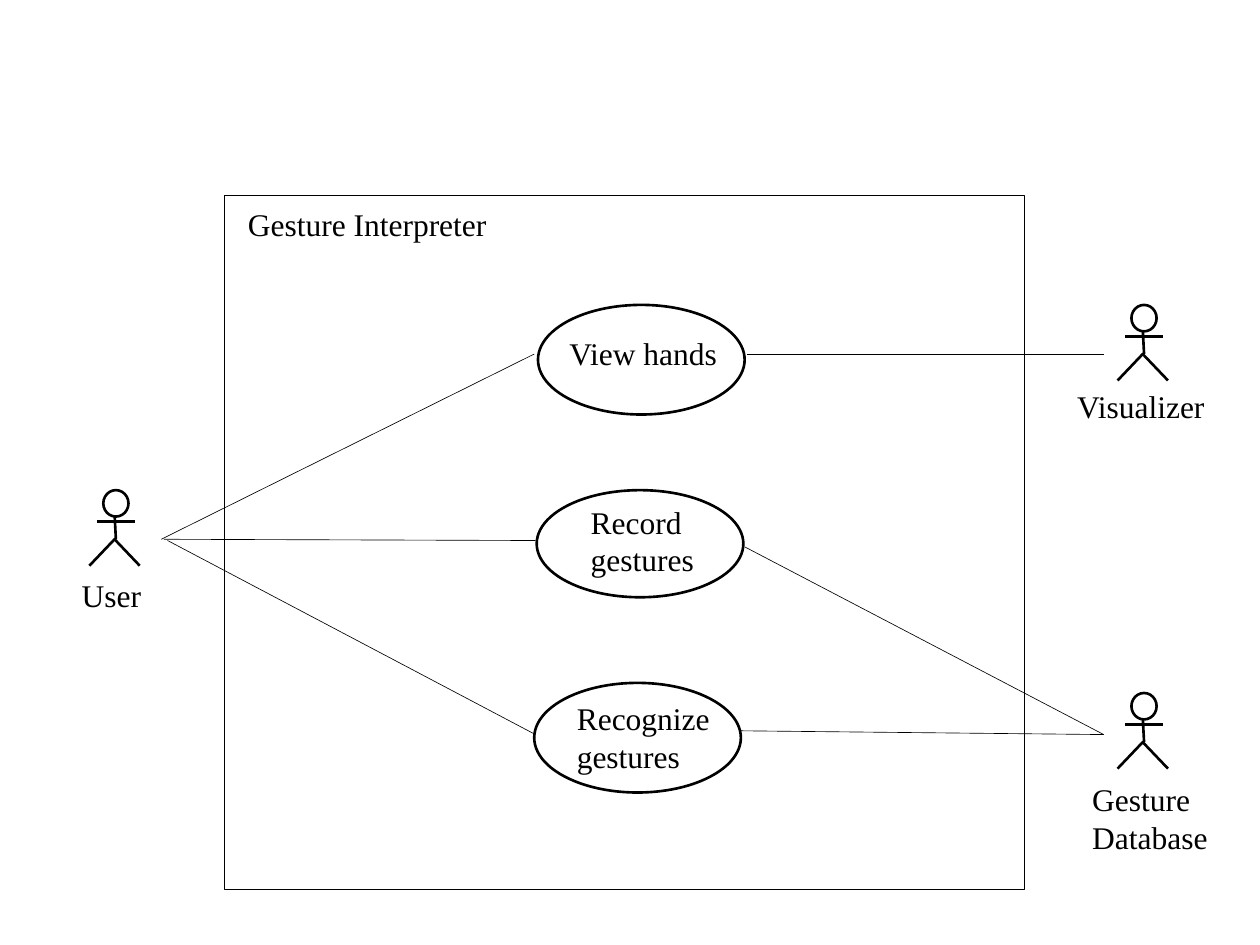
"""Build a use case diagram of a gesture interpreter."""
import lxml.etree
import pptx
import pptx.dml.color
import pptx.enum.shapes
import pptx.oxml.ns
import pptx.util

Inches = pptx.util.Inches
SHAPE = pptx.enum.shapes.MSO_SHAPE

THEME = {
    "ink": pptx.dml.color.RGBColor(0, 0, 0),
    "font": "Times New Roman",
    "size": 18,
    "thick": 1.5,
    "frame": 0.75,
    "thin": 0.38,
}

SYSTEM_BOX = (1.78, 1.55, 6.35, 5.51)
USE_CASES = [
    (4.27, 2.42, 1.64, 0.87),
    (4.26, 3.89, 1.64, 0.85),
    (4.24, 5.42, 1.64, 0.87),
]
ACTORS = [(0.71, 3.89), (8.87, 2.42), (8.87, 5.5)]
LABELS = [
    ("Gesture Interpreter", 1.87, 1.58, 2.2, 0.4),
    ("View hands", 4.42, 2.6, 1.67, 0.4),
    ("Record gestures", 4.59, 3.94, 1.67, 0.71),
    ("Recognize gestures", 4.48, 5.5, 1.67, 0.71),
    ("User", 0.55, 4.52, 0.76, 0.4),
    ("Visualizer", 8.45, 3.02, 1.35, 0.4),
    ("Gesture Database", 8.57, 6.14, 1.22, 0.71),
]
ASSOCIATIONS = [
    (1.28, 4.28, 4.24, 2.81),
    (1.3, 4.28, 4.25, 4.29),
    (1.33, 4.29, 4.25, 5.83),
    (5.93, 2.81, 8.76, 2.81),
    (5.91, 4.34, 8.76, 5.83),
    (5.88, 5.8, 8.76, 5.83),
]


def outline(sp, width):
    sp.line.color.rgb = THEME["ink"]
    sp.line.width = pptx.util.Pt(width)


def add_outline_shape(shapes, kind, box, width):
    sp = shapes.add_shape(kind, *map(Inches, box))
    sp.fill.background()
    sp.shadow.inherit = False
    outline(sp, width)


def add_line(shapes, ends, width):
    c = shapes.add_connector(
        pptx.enum.shapes.MSO_CONNECTOR.STRAIGHT, *map(Inches, ends))
    outline(c, width)
    lxml.etree.SubElement(c._element.spPr, pptx.oxml.ns.qn("a:effectLst"))


def add_actor(shapes, x, y):
    group = shapes.add_group_shape().shapes
    mid = x + 0.2
    hip = y + 0.39
    foot = y + 0.6
    add_outline_shape(group, SHAPE.OVAL, (x + 0.11, y, 0.2, 0.21), THEME["thick"])
    add_line(group, (mid, y + 0.2, mid + 0.01, hip), THEME["thick"])
    add_line(group, (x + 0.06, y + 0.25, x + 0.36, y + 0.25), THEME["thick"])
    builder = group.build_freeform(Inches(x), Inches(foot))
    builder.add_line_segments(
        [(Inches(mid), Inches(hip)), (Inches(x + 0.4), Inches(foot))], close=False)
    legs = builder.convert_to_shape()
    legs.fill.background()
    legs.shadow.inherit = False
    outline(legs, THEME["thick"])


def add_label(shapes, text, *box):
    tf = shapes.add_textbox(*map(Inches, box)).text_frame
    tf.word_wrap = True
    tf.text = text
    font = tf.paragraphs[0].runs[0].font
    font.name = THEME["font"]
    font.size = pptx.util.Pt(THEME["size"])
    font.color.rgb = THEME["ink"]


def main():
    prs = pptx.Presentation()
    prs.slide_width, prs.slide_height = Inches(10), Inches(7.5)
    shapes = prs.slides.add_slide(prs.slide_layouts[6]).shapes
    add_outline_shape(shapes, SHAPE.RECTANGLE, SYSTEM_BOX, THEME["frame"])
    for box in USE_CASES:
        add_outline_shape(shapes, SHAPE.OVAL, box, THEME["thick"])
    for x, y in ACTORS:
        add_actor(shapes, x, y)
    for ends in ASSOCIATIONS:
        add_line(shapes, ends, THEME["thin"])
    for label in LABELS:
        add_label(shapes, *label)
    prs.save("out.pptx")


if __name__ == "__main__":
    main()
